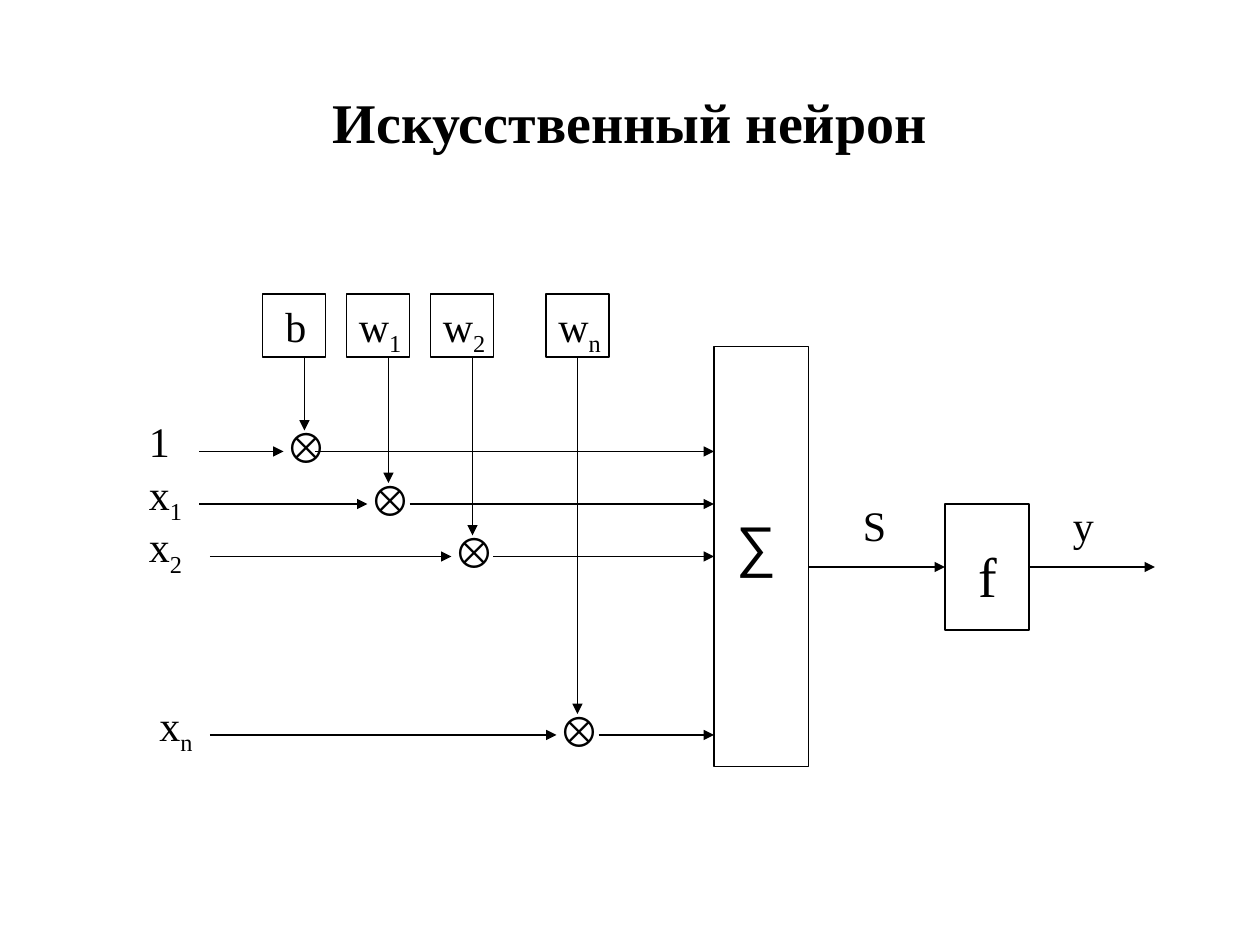
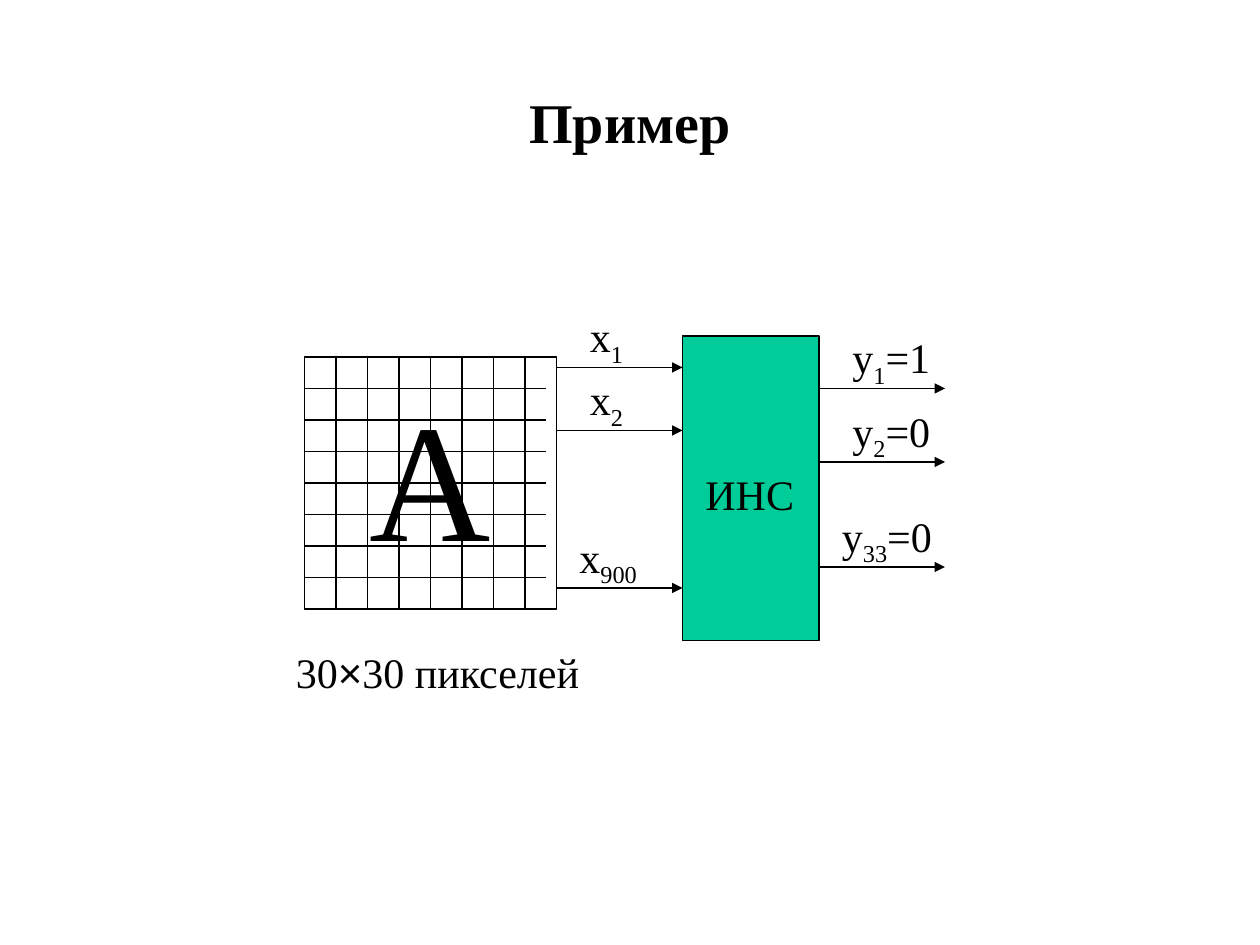
"""Build two slides on artificial neurons, laid out on a grid of twelve steps to the inch."""
import dataclasses
import itertools
import typing

import lxml.etree
import pptx
import pptx.dml.color
import pptx.enum.shapes
import pptx.enum.text
import pptx.oxml.ns
import pptx.slide
import pptx.util


@dataclasses.dataclass(frozen=True)
class Theme:
    ink: pptx.dml.color.RGBColor = pptx.dml.color.RGBColor(0x00, 0x00, 0x00)
    network: pptx.dml.color.RGBColor = pptx.dml.color.RGBColor(0x00, 0xCC, 0x99)
    text_font: str = "Times New Roman"
    symbol_font: str = "Arial"
    symbols: str = "⊗∑×"
    label_size: float = 24
    heading_size: float = 32
    letter_size: float = 96
    line_width: float = 0.75
    subscript: str = "-25000"


THEME = Theme()


class Label(typing.NamedTuple):
    text: str
    left: float
    top: float
    width: float
    size: float = THEME.label_size


class Box(typing.NamedTuple):
    left: float
    top: float
    width: float
    height: float
    fill: typing.Optional[pptx.dml.color.RGBColor] = None


class Wire(typing.NamedTuple):
    x1: float
    y1: float
    x2: float
    y2: float
    arrow: bool = True


@dataclasses.dataclass(frozen=True)
class Synapse:
    weight: str
    signal: str
    box_left: float
    weight_left: float
    axis: float
    row: float
    signal_left: float
    input_start: float
    output_start: float


class Port(typing.NamedTuple):
    text: str
    left: float
    width: float
    row: float


def grid(steps: float) -> pptx.util.Length:
    return pptx.util.Cm(steps * 2.54 / 12)


def draw_box(slide: pptx.slide.Slide, box: Box) -> None:
    rectangle = slide.shapes.add_shape(
        pptx.enum.shapes.MSO_SHAPE.RECTANGLE, *map(grid, box[:4]))
    rectangle.shadow.inherit = False
    if box.fill is None:
        rectangle.fill.background()
    else:
        rectangle.fill.solid()
        rectangle.fill.fore_color.rgb = box.fill
    rectangle.line.color.rgb = THEME.ink
    rectangle.line.width = pptx.util.Pt(THEME.line_width)


def draw_wire(slide: pptx.slide.Slide, wire: Wire) -> None:
    connector = slide.shapes.add_connector(
        pptx.enum.shapes.MSO_CONNECTOR.STRAIGHT, *map(grid, wire[:4]))
    connector.line.color.rgb = THEME.ink
    connector.line.width = pptx.util.Pt(THEME.line_width)
    if wire.arrow:
        lxml.etree.SubElement(connector.line._get_or_add_ln(),
                              pptx.oxml.ns.qn("a:tailEnd"), type="triangle")
    lxml.etree.SubElement(connector._element.spPr, pptx.oxml.ns.qn("a:effectLst"))


def draw_label(slide: pptx.slide.Slide, label: Label) -> None:
    height = label.size / 5 + 1.2
    frame = slide.shapes.add_textbox(
        grid(label.left), grid(label.top), grid(label.width), grid(height)).text_frame
    frame.word_wrap = True
    paragraph = frame.paragraphs[0]
    paragraph.font.size = pptx.util.Pt(label.size)
    paragraph.font.color.rgb = THEME.ink
    only_symbols = all(char in THEME.symbols for char in label.text)
    paragraph.font.name = THEME.symbol_font if only_symbols else THEME.text_font
    for position, part in enumerate(label.text.split("_")):
        for symbolic, chars in itertools.groupby(part, lambda char: char in THEME.symbols):
            run = paragraph.add_run()
            run.text = "".join(chars)
            if symbolic and not only_symbols:
                run.font.name = THEME.symbol_font
            if position % 2:
                run._r.get_or_add_rPr().set("baseline", THEME.subscript)


def add_titled_slide(deck: typing.Any, title: str) -> pptx.slide.Slide:
    slide = deck.slides.add_slide(deck.slide_layouts[6])
    frame = slide.shapes.add_textbox(grid(9), grid(4), grid(102), grid(15)).text_frame
    frame.word_wrap = True
    frame.vertical_anchor = pptx.enum.text.MSO_ANCHOR.MIDDLE
    heading = frame.paragraphs[0]
    heading.text = title
    heading.alignment = pptx.enum.text.PP_ALIGN.CENTER
    heading.font.name = THEME.text_font
    heading.font.size = pptx.util.Pt(THEME.heading_size)
    heading.font.bold = True
    heading.font.color.rgb = THEME.ink
    return slide


def draw_synapse(slide: pptx.slide.Slide, synapse: Synapse, adder_left: float) -> None:
    axis, row = synapse.axis, synapse.row
    draw_box(slide, Box(synapse.box_left, 28, 6, 6))
    draw_label(slide, Label(synapse.weight, synapse.weight_left, 28, 8))
    draw_label(slide, Label(synapse.signal, synapse.signal_left, row - 4, 8))
    draw_label(slide, Label("⊗", axis - 3, row - 3.5, 7))
    draw_wire(slide, Wire(axis, 34, axis, row - 2))
    draw_wire(slide, Wire(synapse.input_start, row, axis - 2, row))
    draw_wire(slide, Wire(synapse.output_start, row, adder_left, row))


def build_neuron(deck: typing.Any) -> None:
    slide = add_titled_slide(deck, "Искусственный нейрон")
    adder = Box(68, 33, 9, 40)
    activation = Box(90, 48, 8, 12)
    synapses = (
        Synapse("b", "1", 25, 26, 29, 43, 13, 19, 30),
        Synapse("w_1", "x_1", 33, 33, 37, 48, 13, 19, 39),
        Synapse("w_2", "x_2", 41, 41, 45, 53, 13, 20, 47),
        Synapse("w_n", "x_n", 52, 52, 55, 70, 14, 20, 57),
    )
    for block in (adder, activation):
        draw_box(slide, block)
    for synapse in synapses:
        draw_synapse(slide, synapse, adder.left)
    for label in (Label("∑", 69, 48, 7, THEME.heading_size),
                  Label("f", 92, 51, 6, THEME.heading_size),
                  Label("S", 81, 47, 6),
                  Label("y", 101, 47, 7)):
        draw_label(slide, label)
    draw_wire(slide, Wire(adder.left + adder.width, 54, activation.left, 54))
    draw_wire(slide, Wire(activation.left + activation.width, 54, 110, 54))


def draw_ports(slide: pptx.slide.Slide, ports: typing.Iterable[Port],
               start: float, end: float) -> None:
    for port in ports:
        draw_wire(slide, Wire(start, port.row, end, port.row))
        draw_label(slide, Label(port.text, port.left, port.row - 6, port.width))


def build_example(deck: typing.Any) -> None:
    slide = add_titled_slide(deck, "Пример")
    raster = Box(29, 34, 24, 24)
    network = Box(65, 32, 13, 29, THEME.network)
    for block in (raster, network):
        draw_box(slide, block)
    draw_label(slide, Label("А", 34, 35, 13, THEME.letter_size))
    raster_right = raster.left + raster.width
    for offset in range(3, 24, 3):
        x, y = raster.left + offset, raster.top + offset
        draw_wire(slide, Wire(raster.left, y, raster_right - 1, y, arrow=False))
        draw_wire(slide, Wire(x, raster.top, x, raster.top + raster.height, arrow=False))
    inputs = (Port("x_1", 55, 7, 35), Port("x_2", 55, 7, 41), Port("x_900", 54, 10, 56))
    outputs = (Port("y_1_=1", 80, 10, 37), Port("y_2_=0", 80, 11, 44),
               Port("y_33_=0", 79, 13, 54))
    draw_ports(slide, inputs, raster_right, network.left)
    draw_ports(slide, outputs, network.left + network.width, 90)
    draw_label(slide, Label("30×30 пикселей", 27, 61, 30))
    draw_label(slide, Label("ИНС", 66, 44, 13))


def main() -> None:
    deck = pptx.Presentation()
    deck.slide_width, deck.slide_height = grid(120), grid(90)
    build_neuron(deck)
    build_example(deck)
    deck.save("out.pptx")


if __name__ == "__main__":
    main()
